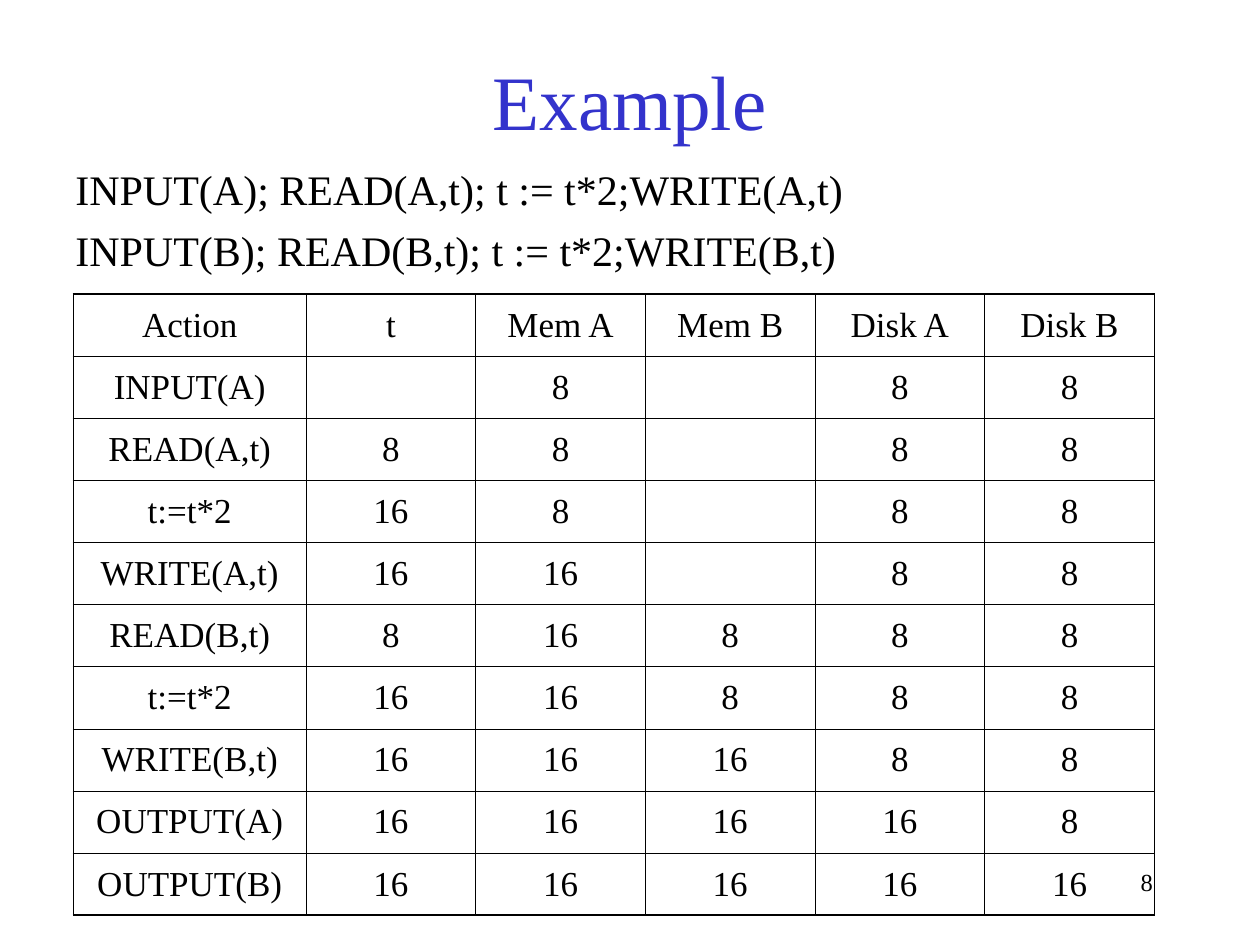
from lxml.etree import SubElement
from pptx import Presentation
from pptx.dml.color import RGBColor
from pptx.enum.text import MSO_ANCHOR, PP_ALIGN
from pptx.oxml.ns import qn
from pptx.util import Cm, Pt

BLACK = RGBColor(0x00, 0x00, 0x00)
BLUE = RGBColor(0x33, 0x33, 0xCC)
THIN, THICK = Pt(0.45), Pt(1.08)

STEPS = [
    "INPUT(A); READ(A,t); t := t*2;WRITE(A,t)",
    "INPUT(B); READ(B,t); t := t*2;WRITE(B,t)",
]
TRACE = [
    ["Action", "t", "Mem A", "Mem B", "Disk A", "Disk B"],
    ["INPUT(A)", "", "8", "", "8", "8"],
    ["READ(A,t)", "8", "8", "", "8", "8"],
    ["t:=t*2", "16", "8", "", "8", "8"],
    ["WRITE(A,t)", "16", "16", "", "8", "8"],
    ["READ(B,t)", "8", "16", "8", "8", "8"],
    ["t:=t*2", "16", "16", "8", "8", "8"],
    ["WRITE(B,t)", "16", "16", "16", "8", "8"],
    ["OUTPUT(A)", "16", "16", "16", "16", "8"],
    ["OUTPUT(B)", "16", "16", "16", "16", "16"],
]


class Deck:
    font = "Times New Roman"

    def __init__(self, width, height):
        self.prs = Presentation()
        self.prs.slide_width, self.prs.slide_height = width, height
        self.slide = self.prs.slides.add_slide(self.prs.slide_layouts[6])

    def style(self, para, size, color, align):
        para.alignment = align
        font = para.font
        font.name, font.size, font.bold = self.font, Pt(size), False
        font.color.rgb = color

    def text(self, box, lines, size, color=BLACK, align=PP_ALIGN.LEFT,
             anchor=MSO_ANCHOR.TOP, gap=0, hang=0):
        frame = self.slide.shapes.add_textbox(*map(Cm, box)).text_frame
        frame.word_wrap = True
        frame.vertical_anchor = anchor
        frame.text = "\n".join(lines)
        for i, para in enumerate(frame.paragraphs):
            if hang:
                props = para._p.get_or_add_pPr()
                props.set("marL", str(Cm(hang)))
                props.set("indent", str(-Cm(hang)))
            if i:
                para.space_before = Pt(gap)
            self.style(para, size, color, align)

    def border(self, cell, sides):
        """Draw cell edges; sides maps L, R, T, B to line widths."""
        props = cell._tc.get_or_add_tcPr()
        for side, width in sides.items():
            line = SubElement(props, qn(f"a:ln{side}"), w=str(width))
            fill = SubElement(line, qn("a:solidFill"))
            SubElement(fill, qn("a:srgbClr"), val=str(BLACK))

    def table(self, left, top, widths, height, rows, size):
        last_row, last_col = len(rows) - 1, len(widths) - 1
        table = self.slide.shapes.add_table(
            len(rows), len(widths), Cm(left), Cm(top),
            Cm(sum(widths)), Cm(height)).table
        table.first_row = table.horz_banding = False
        for col, width in zip(table.columns, widths):
            col.width = Cm(width)
        for r, row in enumerate(rows):
            for c, value in enumerate(row):
                cell = table.cell(r, c)
                cell.text = value
                cell.vertical_anchor = MSO_ANCHOR.MIDDLE
                self.style(cell.text_frame.paragraphs[0], size, BLACK,
                           PP_ALIGN.CENTER)
                self.border(cell, {
                    "L": THICK if c == 0 else THIN,
                    "R": THICK if c == last_col else THIN,
                    "T": THICK if r == 0 else THIN,
                    "B": THICK if r == last_row else THIN,
                })
                cell.fill.background()


def main():
    deck = Deck(Cm(25.4), Cm(19.05))
    deck.text((18.21, 17.35, 5.28, 1.27), ["8"], 14, align=PP_ALIGN.RIGHT)
    deck.text((1.9, 0.43, 21.6, 3.18), ["Example"], 44, BLUE,
              PP_ALIGN.CENTER, MSO_ANCHOR.MIDDLE)
    deck.text((1.27, 3.18, 21.6, 3.18), STEPS, 24, gap=6, hang=0.95)
    deck.table(1.48, 5.93, [4.69] + [3.42] * 5, 12.52, TRACE, 20)
    deck.prs.save("out.pptx")


if __name__ == "__main__":
    main()
